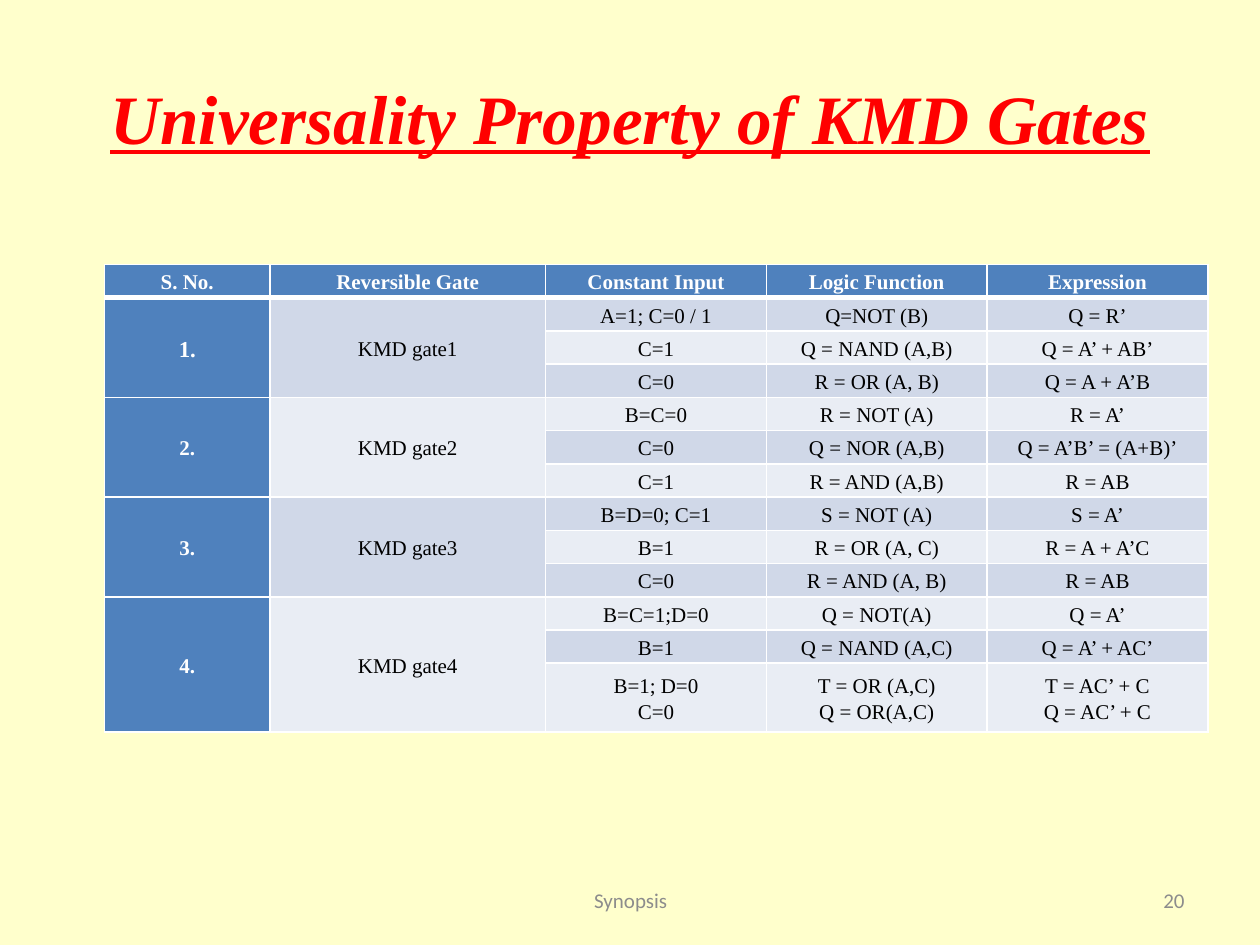
from dataclasses import dataclass

from lxml import etree
from pptx import Presentation
from pptx.dml.color import RGBColor
from pptx.enum.text import MSO_ANCHOR, PP_ALIGN
from pptx.oxml.ns import qn
from pptx.slide import Slide
from pptx.table import Table, _Cell
from pptx.text.text import TextFrame
from pptx.util import Cm, Pt

CENTER, RIGHT = PP_ALIGN.CENTER, PP_ALIGN.RIGHT
MIDDLE = MSO_ANCHOR.MIDDLE
SERIF, SANS = "Times New Roman", "Calibri"
COLORS = {
    "background": "FFFFCC",
    "title": "FF0000",
    "accent": "4F81BD",
    "dark_band": "D0D8E8",
    "light_band": "E9EDF4",
    "white": "FFFFFF",
    "black": "000000",
    "footer": "8C8C8C",
}


@dataclass
class Gate:
    number: str
    name: str
    functions: list[tuple[str, str, str]]
    number_size: float = 12


@dataclass
class FooterItem:
    text: str
    left: float
    width: float
    align: PP_ALIGN


HEADINGS = ["S. No.", "Reversible Gate", "Constant Input", "Logic Function", "Expression"]
COLUMN_WIDTHS = [3.33, 5.56, 4.45, 4.45, 4.45]
ROW_HEIGHT, LAST_ROW_HEIGHT = 0.67, 1.39
GATES = [
    Gate("1.", "KMD gate1", [
        ("A=1; C=0 / 1", "Q=NOT (B)", "Q = R’"),
        ("C=1", "Q = NAND (A,B)", "Q = A’ + AB’"),
        ("C=0", "R = OR (A, B)", "Q = A + A’B"),
    ], 13),
    Gate("2.", "KMD gate2", [
        ("B=C=0", "R = NOT (A)", "R = A’"),
        ("C=0", "Q = NOR (A,B)", "Q = A’B’ = (A+B)’"),
        ("C=1", "R = AND (A,B)", "R = AB"),
    ]),
    Gate("3.", "KMD gate3", [
        ("B=D=0; C=1", "S = NOT (A)", "S = A’"),
        ("B=1", "R = OR (A, C)", "R = A + A’C"),
        ("C=0", "R = AND (A, B)", "R = AB"),
    ]),
    Gate("4.", "KMD gate4", [
        ("B=C=1;D=0", "Q = NOT(A)", "Q = A’"),
        ("B=1", "Q = NAND (A,C)", "Q = A’ + AC’"),
        ("B=1; D=0\nC=0", "T = OR (A,C)\nQ = OR(A,C)", "T = AC’ + C\nQ = AC’ + C"),
    ]),
]
FOOTER = [
    FooterItem("Synopsis", 8.69, 8.05, CENTER),
    FooterItem("20", 18.21, 5.92, RIGHT),
]


def color(key: str) -> RGBColor:
    return RGBColor.from_string(COLORS[key])


def write(frame: TextFrame, text: str, size: float, font: str, ink: str,
          align: PP_ALIGN = CENTER, bold: bool = False, spacing: float = 1.0) -> None:
    frame.text = text
    for paragraph in frame.paragraphs:
        paragraph.alignment = align
        paragraph.line_spacing = spacing
        for run in paragraph.runs:
            run.font.size = Pt(size)
            run.font.name = font
            run.font.bold = bold
            run.font.color.rgb = color(ink)


def add_borders(cell: _Cell, top: float, bottom: float) -> None:
    properties = cell._tc.get_or_add_tcPr()
    for side, width in (("L", 1), ("R", 1), ("T", top), ("B", bottom)):
        line = etree.SubElement(properties, qn(f"a:ln{side}"), w=str(Pt(width)))
        fill = etree.SubElement(line, qn("a:solidFill"))
        etree.SubElement(fill, qn("a:srgbClr"), val=COLORS["white"])


def style_cell(cell: _Cell, row: int, fill: str) -> None:
    cell.margin_left = cell.margin_right = Cm(0.18)
    cell.margin_top = cell.margin_bottom = 0
    cell.vertical_anchor = MIDDLE
    add_borders(cell, 3 if row == 1 else 1, 3 if row == 0 else 1)
    cell.fill.solid()
    cell.fill.fore_color.rgb = color(fill)


def write_cell(cell: _Cell, text: str, ink: str = "black",
               size: float = 12, bold: bool = False) -> None:
    write(cell.text_frame, text, size, SERIF, ink, bold=bold, spacing=1.15)


def band(index: int) -> str:
    return "light_band" if index % 2 else "dark_band"


def fill_gate(table: Table, index: int, gate: Gate) -> None:
    span = len(gate.functions)
    first = 1 + index * span
    for row, entries in enumerate(gate.functions, first):
        fills = ["accent", band(index)] + [band(row - 1)] * len(entries)
        for column, fill in enumerate(fills):
            style_cell(table.cell(row, column), row, fill)
        for column, entry in enumerate(entries, 2):
            write_cell(table.cell(row, column), entry)
    for column in (0, 1):
        table.cell(first, column).merge(table.cell(first + span - 1, column))
    write_cell(table.cell(first, 0), gate.number, "white", gate.number_size, True)
    write_cell(table.cell(first, 1), gate.name)


def add_gate_table(slide: Slide) -> None:
    row_count = 1 + sum(len(gate.functions) for gate in GATES)
    heights = [ROW_HEIGHT] * (row_count - 1) + [LAST_ROW_HEIGHT]
    table = slide.shapes.add_table(
        row_count, len(HEADINGS), Cm(2.11), Cm(5.33),
        Cm(sum(COLUMN_WIDTHS)), Cm(sum(heights))).table
    for column, width in zip(table.columns, COLUMN_WIDTHS):
        column.width = Cm(width)
    for row, height in zip(table.rows, heights):
        row.height = Cm(height)
    for column, heading in enumerate(HEADINGS):
        style_cell(table.cell(0, column), 0, "accent")
        write_cell(table.cell(0, column), heading, "white", bold=True)
    for index, gate in enumerate(GATES):
        fill_gate(table, index, gate)


def add_title(slide: Slide) -> None:
    title = slide.shapes.title
    title.left, title.top, title.width, title.height = Cm(1.27), Cm(0.76), Cm(22.86), Cm(3.18)
    title.text_frame.vertical_anchor = MIDDLE
    write(title.text_frame, "Universality Property of KMD Gates", 39.6, SERIF, "title", bold=True)
    font = title.text_frame.paragraphs[0].runs[0].font
    font.italic = font.underline = True


def add_footer_item(slide: Slide, item: FooterItem) -> None:
    frame = slide.shapes.add_textbox(
        Cm(item.left), Cm(17.65), Cm(item.width), Cm(1.01)).text_frame
    frame.word_wrap = True
    frame.vertical_anchor = MIDDLE
    write(frame, item.text, 12, SANS, "footer", item.align)


def main() -> None:
    presentation = Presentation()
    presentation.slide_width, presentation.slide_height = Cm(25.4), Cm(19.05)
    slide = presentation.slides.add_slide(presentation.slide_layouts.get_by_name("Title Only"))
    slide.background.fill.solid()
    slide.background.fill.fore_color.rgb = color("background")
    add_title(slide)
    add_gate_table(slide)
    for item in FOOTER:
        add_footer_item(slide, item)
    presentation.save("out.pptx")


if __name__ == "__main__":
    main()
